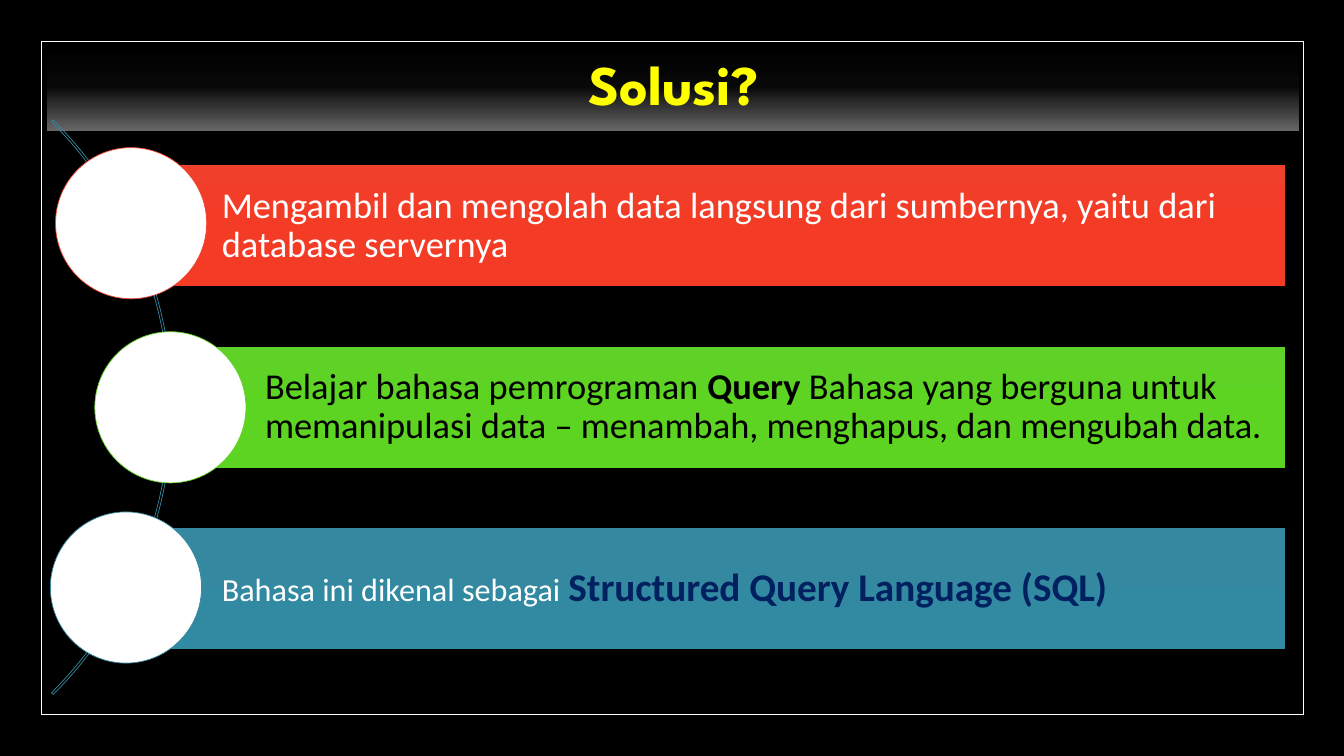
from lxml import etree
from pptx import Presentation
from pptx.dml.color import RGBColor
from pptx.enum.shapes import MSO_SHAPE
from pptx.enum.text import MSO_ANCHOR, MSO_AUTO_SIZE, PP_ALIGN
from pptx.oxml.ns import qn
from pptx.util import Cm, Pt

RECT, OVAL, ARC = MSO_SHAPE.RECTANGLE, MSO_SHAPE.OVAL, MSO_SHAPE.BLOCK_ARC
MIDDLE = MSO_ANCHOR.MIDDLE
NO_FIT = MSO_AUTO_SIZE.NONE
LEFT, CENTER = PP_ALIGN.LEFT, PP_ALIGN.CENTER
TITLE_ONLY = 5

BAR_RIGHT, BAR_TOP, BAR_STEP, BAR_HEIGHT = 32.39, 4.17, 4.57, 3.05
CIRCLE = 3.81

# Each step: bar left, circle left, circle top, gradient, inset, runs.
# Each run: text, size, colour, bold.
STEPS = [
    (3.18, 1.4, 3.72, ("F03F2B", "F43B26", "F33B26"), 0.17, [
        ("Mengambil dan mengolah data langsung dari sumbernya, "
         "yaitu dari database servernya", 26, "FFFFFF", False)]),
    (4.27, 2.39, 8.36, ("60D127", "5ED422", "5ED322"), 0.17, [
        ("Belajar bahasa pemrograman ", 26, "000000", False),
        ("Query ", 26, "000000", True),
        ("Bahasa yang berguna untuk memanipulasi data – menambah, "
         "menghapus, dan mengubah data.", 26, "000000", False)]),
    (3.18, 1.27, 12.9, ("3488A0", "3189A2", "3188A1"), 0.15, [
        ("Bahasa ini dikenal sebagai ", 23, "FFFFFF", False),
        ("Structured Query Language (SQL)", 28, "002060", True)]),
]


def rgb(value):
    return RGBColor.from_string(value)


def add_shape(s, kind, left, top, width, height, fill=None, line=None):
    sp = s.shapes.add_shape(kind, Cm(left), Cm(top), Cm(width), Cm(height))
    sp.shadow.inherit = False
    if fill:
        sp.fill.solid()
        sp.fill.fore_color.rgb = rgb(fill)
    else:
        sp.fill.background()
    if line:
        sp.line.color.rgb = rgb(line)
        sp.line.width = Pt(0.5)
    else:
        sp.line.fill.background()
    return sp


def set_gradient(sp, colours, middle):
    """Fill from top to bottom with three colours."""
    sp.fill.gradient()
    sp.fill.gradient_angle = 270
    stops = sp._element.spPr.find(qn("a:gradFill")).find(qn("a:gsLst"))
    for stop in list(stops):
        stops.remove(stop)
    for position, colour in zip((0, middle, 100), colours):
        stop = etree.SubElement(stops, qn("a:gs"), pos=str(position * 1000))
        etree.SubElement(stop, qn("a:srgbClr"), val=colour)


def write_text(sp, runs, font, align):
    tf = sp.text_frame
    tf.word_wrap = True
    tf.auto_size = NO_FIT
    tf.vertical_anchor = MIDDLE
    p = tf.paragraphs[0]
    p.alignment = align
    p.line_spacing = 0.9
    for text, size, colour, bold in runs:
        r = p.add_run()
        r.text = text
        r.font.name = font
        r.font.size = Pt(size)
        r.font.bold = bold
        r.font.color.rgb = rgb(colour)


def add_title(s, text):
    sp = s.shapes.title
    sp.left, sp.top, sp.width, sp.height = Cm(1.19), Cm(1.12), Cm(31.55), Cm(2.18)
    set_gradient(sp, ("000000", "080808", "666666"), 48)
    write_text(sp, [(text, 40, "FFFF00", True)], "League Spartan", CENTER)


def add_arc(s):
    sp = add_shape(s, ARC, -16.13, 0.03, 20.47, 20.47, line="3488A0")
    for i, value in enumerate((189, 27, 0.003)):
        sp.adjustments[i] = value


def add_step(s, top, bar_left, circle_left, circle_top, colours, inset, runs):
    bar = add_shape(s, RECT, bar_left, top, BAR_RIGHT - bar_left, BAR_HEIGHT)
    set_gradient(bar, colours, 50)
    tf = bar.text_frame
    tf.margin_left = Cm(2.41)
    tf.margin_top = tf.margin_right = tf.margin_bottom = Cm(inset)
    write_text(bar, runs, "Calibri", LEFT)
    add_shape(s, OVAL, circle_left, circle_top, CIRCLE, CIRCLE, "FFFFFF", colours[0])


def main():
    prs = Presentation()
    prs.slide_width, prs.slide_height = Cm(33.87), Cm(19.05)
    s = prs.slides.add_slide(prs.slide_layouts[TITLE_ONLY])

    # Background, frame and title
    s.background.fill.solid()
    s.background.fill.fore_color.rgb = rgb("000000")
    add_shape(s, RECT, 1.04, 1.04, 31.8, 16.97, line="FFFFFF")
    add_title(s, "Solusi?")

    # Steps along the arc
    add_arc(s)
    for i, step in enumerate(STEPS):
        add_step(s, BAR_TOP + i * BAR_STEP, *step)

    prs.save("out.pptx")


if __name__ == "__main__":
    main()
